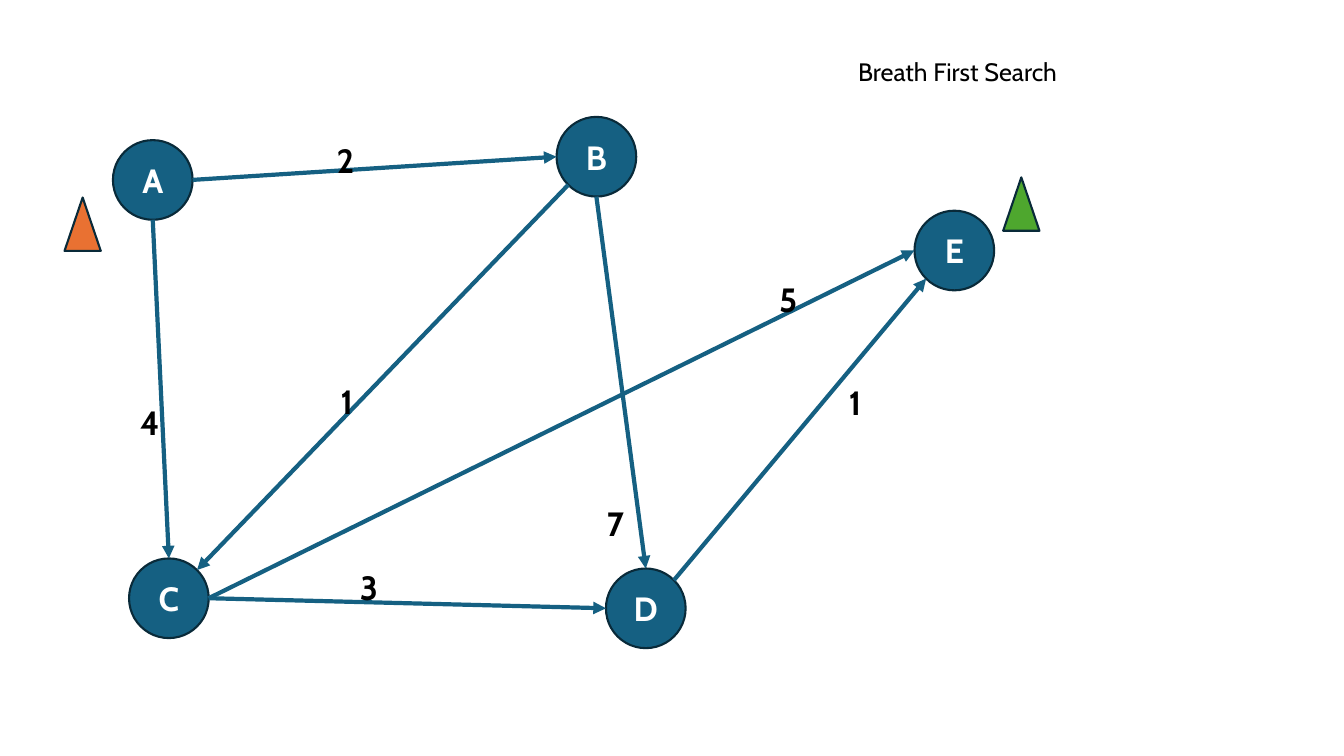
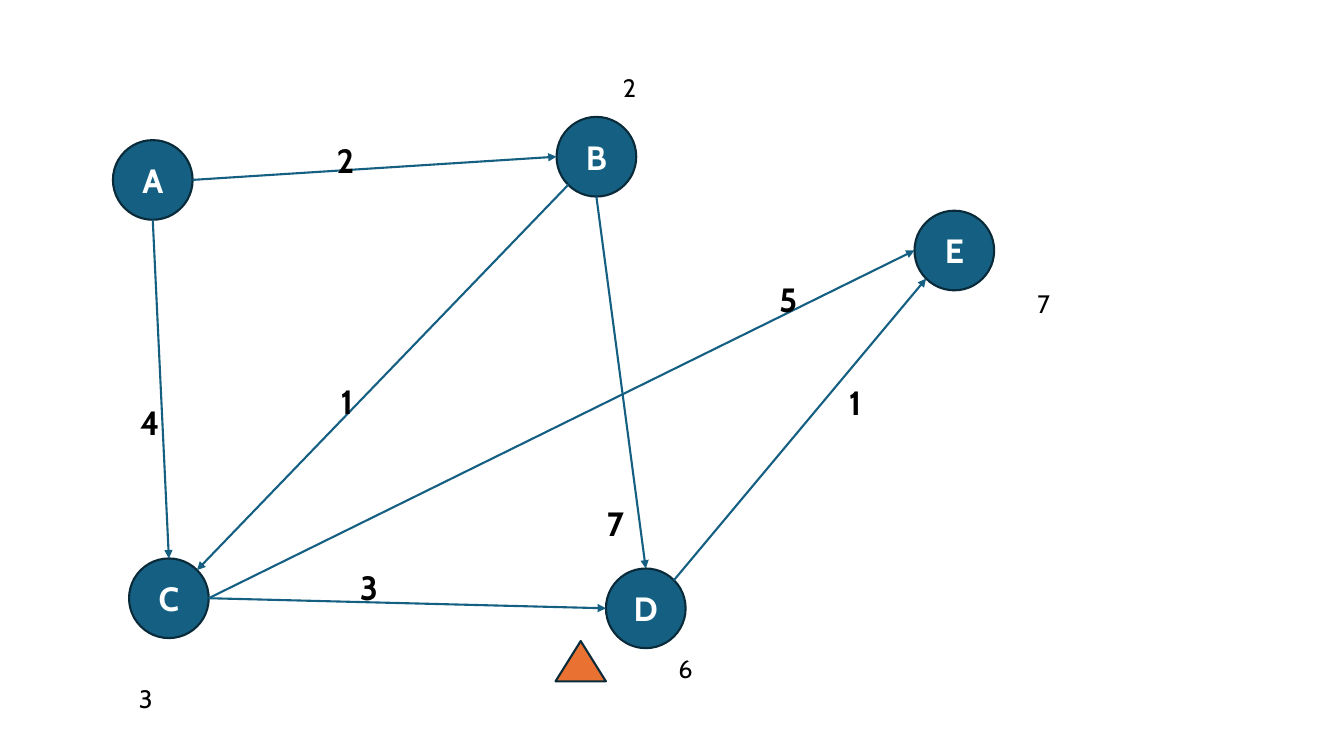
from math import cos, pi, sin

from lxml.etree import SubElement
from pptx import Presentation
from pptx.dml.color import RGBColor
from pptx.enum.shapes import MSO_CONNECTOR as CONN, MSO_SHAPE as SHAPE
from pptx.enum.text import MSO_ANCHOR as ANCHOR, MSO_AUTO_SIZE as AUTO, PP_ALIGN as ALIGN
from pptx.oxml.ns import qn
from pptx.util import Emu, Pt

PX = 9144  # EMU per px, 100 px to the inch
TITLE_ONLY, BLANK = 5, 6
NODE = 79
BLUE, OUTLINE, ORANGE, GREEN = "156082", "092A39", "E97132", "4EA72E"
BLACK, WHITE = "000000", "FFFFFF"

# Left and top of each node
NODES = {"A": (112, 139), "B": (552, 116), "E": (907, 209), "D": (601, 564), "C": (128, 554)}

# Points on a node's rim, in eighths of a turn clockwise from the right
RIGHT, BOTTOM, BOTTOM_LEFT, LEFT, TOP, TOP_RIGHT = 0, 2, 3, 4, 6, 7

# From, to, weight, left and top of the weight
EDGES = [
    (("A", RIGHT), ("B", LEFT), "2", 324, 134),
    (("A", BOTTOM), ("C", TOP), "4", 129, 394),
    (("B", BOTTOM_LEFT), ("C", TOP_RIGHT), "1", 328, 373),
    (("B", BOTTOM), ("D", TOP), "7", 592, 494),
    (("C", RIGHT), ("D", LEFT), "3", 347, 558),
    (("C", RIGHT), ("E", LEFT), "5", 763, 272),
    (("D", TOP_RIGHT), ("E", BOTTOM_LEFT), "1", 832, 374),
]

# Distance, left, top
DISTANCES = [("2", 608, 67), ("3", 128, 673), ("6", 663, 643), ("7", 1019, 281)]


def px(*lengths):
    return [Emu(round(n * PX)) for n in lengths]


def rgb(color):
    return RGBColor.from_string(color)


def rim(node, eighth):
    """Return the point on a node's rim at the given eighth of a turn."""
    x, y = NODES[node]
    r, angle = NODE / 2, eighth * pi / 4
    return x + r + r * cos(angle), y + r + r * sin(angle)


class Deck:
    """Holds the presentation, its style and the current slide."""

    font = "Cabin"

    def __init__(self):
        self.prs = Presentation()
        self.prs.slide_width, self.prs.slide_height = px(1333, 750)

    def add_slide(self, layout):
        self.s = self.prs.slides.add_slide(self.prs.slide_layouts[layout])

    def set_text(self, sp, text, size, color, bold=False, align=ALIGN.LEFT, anchor=ANCHOR.TOP):
        tf = sp.text_frame
        tf.text = text
        tf.vertical_anchor = anchor
        p = tf.paragraphs[0]
        p.alignment = align
        font = p.runs[0].font
        font.name, font.size, font.bold = self.font, Pt(size), bold
        font.color.rgb = rgb(color)
        return tf

    def title(self, text, x, y, w, h):
        sp = self.s.shapes.title
        sp.left, sp.top, sp.width, sp.height = px(x, y, w, h)
        tf = self.set_text(sp, text, 18, BLACK)
        tf.word_wrap, tf.auto_size = False, AUTO.NONE

    def label(self, text, x, y, w, h, size, bold=False):
        sp = self.s.shapes.add_textbox(*px(x, y, w, h))
        tf = self.set_text(sp, text, size, BLACK, bold)
        tf.word_wrap, tf.auto_size = False, AUTO.SHAPE_TO_FIT_TEXT

    def shape(self, kind, x, y, w, h, fill):
        sp = self.s.shapes.add_shape(kind, *px(x, y, w, h))
        sp.shadow.inherit = False
        sp.fill.solid()
        sp.fill.fore_color.rgb = rgb(fill)
        sp.line.color.rgb, sp.line.width = rgb(OUTLINE), Pt(1.5)
        return sp

    def node(self, name, x, y):
        sp = self.shape(SHAPE.OVAL, x, y, NODE, NODE, BLUE)
        self.set_text(sp, name, 24, WHITE, True, ALIGN.CENTER, ANCHOR.MIDDLE)

    def marker(self, x, y, w, h, fill):
        self.shape(SHAPE.ISOSCELES_TRIANGLE, x, y, w, h, fill)

    def arrow(self, start, end, width):
        cxn = self.s.shapes.add_connector(CONN.STRAIGHT, *px(*start, *end))
        cxn.line.color.rgb, cxn.line.width = rgb(BLUE), Pt(width)
        spPr = cxn._element.spPr
        SubElement(spPr.find(qn("a:ln")), qn("a:tailEnd"), type="triangle")
        SubElement(spPr, qn("a:effectLst"))

    def graph(self, edge_width):
        for name, (x, y) in NODES.items():
            self.node(name, x, y)
        for start, end, weight, x, y in EDGES:
            self.arrow(rim(*start), rim(*end), edge_width)
            self.label(weight, x, y, 38, 50, 24, bold=True)


def main():
    deck = Deck()

    deck.add_slide(TITLE_ONLY)
    deck.title("Breath First Search", 841, 51, 226, 40)
    deck.graph(edge_width=3)
    deck.marker(64, 196, 36, 53, ORANGE)
    deck.marker(995, 176, 36, 53, GREEN)

    deck.add_slide(BLANK)
    deck.graph(edge_width=1.5)
    for distance, x, y in DISTANCES:
        deck.label(distance, x, y, 34, 40, 18)
    deck.marker(551, 636, 50, 40, ORANGE)

    deck.prs.save("out.pptx")


if __name__ == "__main__":
    main()
